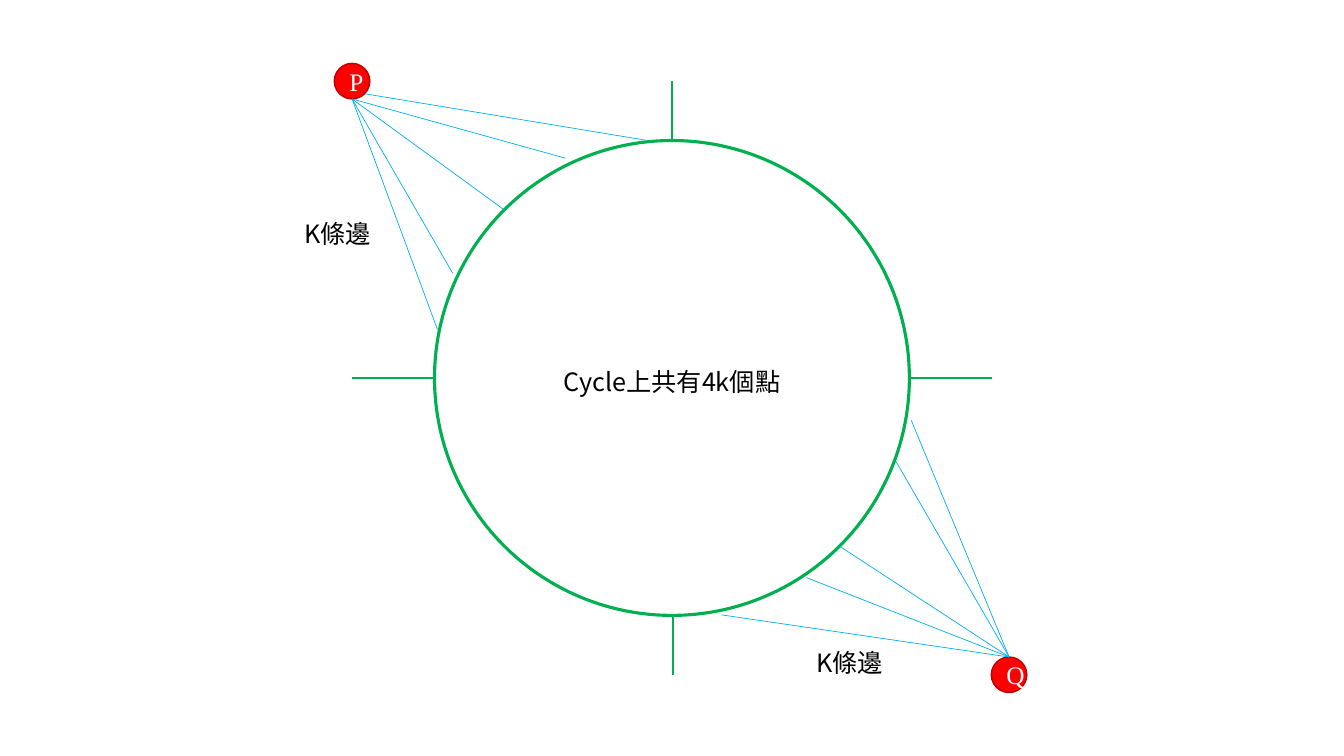
"""Draws a cycle of 4k points with the outer nodes P and Q."""
from lxml import etree
from pptx import Presentation
from pptx import util as u
from pptx.dml import color
from pptx.enum import shapes, text
from pptx.oxml import ns

HUES = {"ring": "00B050", "edge": "00B0F0", "node": "FF0000",
        "rim": "C00000", "ink": "000000", "pale": "FFFFFF"}
FONTS = {"label": "Noto Sans CJK SC", "node": "Times New Roman"}


class Board:
    """Holds the style and the current slide."""

    def __init__(self, deck):
        self.items = deck.slides.add_slide(deck.slide_layouts[6]).shapes

    def hue(self, name):
        return color.RGBColor.from_string(HUES[name])

    def stroke(self, line, hue, width):
        line.color.rgb = self.hue(hue)
        line.width = u.Pt(width)

    def line(self, start, end, hue, width):
        ends = [u.Pt(v) for v in (*start, *end)]
        link = self.items.add_connector(shapes.MSO_CONNECTOR.STRAIGHT, *ends)
        self.stroke(link.line, hue, width)
        etree.SubElement(link._element.spPr, ns.qn("a:effectLst"))

    def disc(self, mid, size, rim, width, fill=None):
        x, y = (v - size / 2 for v in mid)
        disc = self.items.add_shape(shapes.MSO_SHAPE.OVAL, *map(u.Pt, (x, y, size, size)))
        disc.shadow.inherit = False
        self.stroke(disc.line, rim, width)
        if fill:
            disc.fill.solid()
            disc.fill.fore_color.rgb = self.hue(fill)
        else:
            disc.fill.background()
        return disc

    def letter(self, frame, words, font, ink, align):
        para = frame.paragraphs[0]
        para.alignment = align
        run = para.add_run()
        run.text = words
        for key, val in {"size": u.Pt(18), "name": FONTS[font]}.items():
            setattr(run.font, key, val)
        run.font.color.rgb = self.hue(ink)
        east = etree.SubElement(run._r.get_or_add_rPr(), ns.qn("a:ea"))
        east.set("typeface", FONTS[font])

    def node(self, name, mid):
        disc = self.disc(mid, 25.4, "rim", 1, "node")
        disc.text_frame.vertical_anchor = text.MSO_ANCHOR.MIDDLE
        self.letter(disc.text_frame, name, "node", "pale", text.PP_ALIGN.CENTER)

    def label(self, words, x, y, width, align=text.PP_ALIGN.LEFT):
        frame = self.items.add_textbox(*map(u.Pt, (x, y, width, 29))).text_frame
        form = {"word_wrap": True, "auto_size": text.MSO_AUTO_SIZE.SHAPE_TO_FIT_TEXT}
        for key, val in form.items():
            setattr(frame, key, val)
        self.letter(frame, words, "label", "ink", align)


def main():
    deck = Presentation()
    deck.slide_width, deck.slide_height = u.Pt(960), u.Pt(540)
    board = Board(deck)
    board.disc((480, 270), 339.2, "ring", 2.25)
    ticks = [((480, 100.4), (480, 58)), ((310.4, 270), (251.4, 270)),
             ((480.8, 482), (480.8, 439.6)), ((708.6, 270), (649.6, 270))]
    for start, end in ticks:
        board.line(start, end, "ring", 1.5)
    board.node("P", (251.5, 58))
    board.node("Q", (720.8, 482))
    fans = {
        (251.5, 70.7): [(312.5, 235.4), (323.3, 195.1), (360, 149.8), (403.9, 113)],
        (260.6, 67): [(461.5, 100.2)],
        (720.8, 469.3): [(515.5, 439.2), (576, 412.6), (599.8, 390.2),
                         (650.9, 300.2), (640.1, 329.8)],
    }
    for hub, tips in fans.items():
        for tip in tips:
            board.line(hub, tip, "edge", 0.5)
    for x, y in ((210.2, 152.6), (576, 458.6)):
        board.label("K條邊", x, y, 71.3)
    board.label("Cycle上共有4k個點", 377, 257.8, 206, text.PP_ALIGN.CENTER)
    deck.save("out.pptx")


if __name__ == "__main__":
    main()
